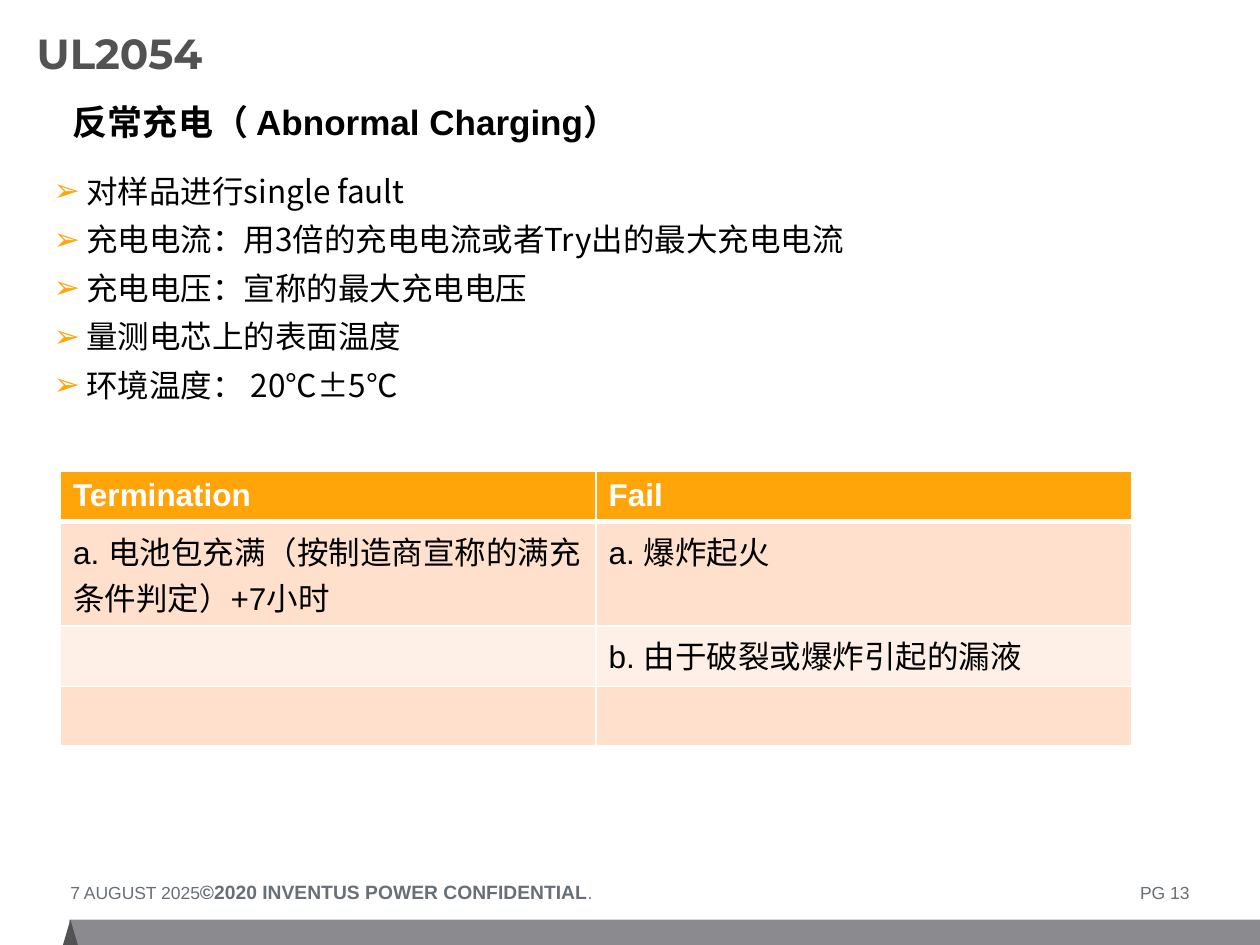
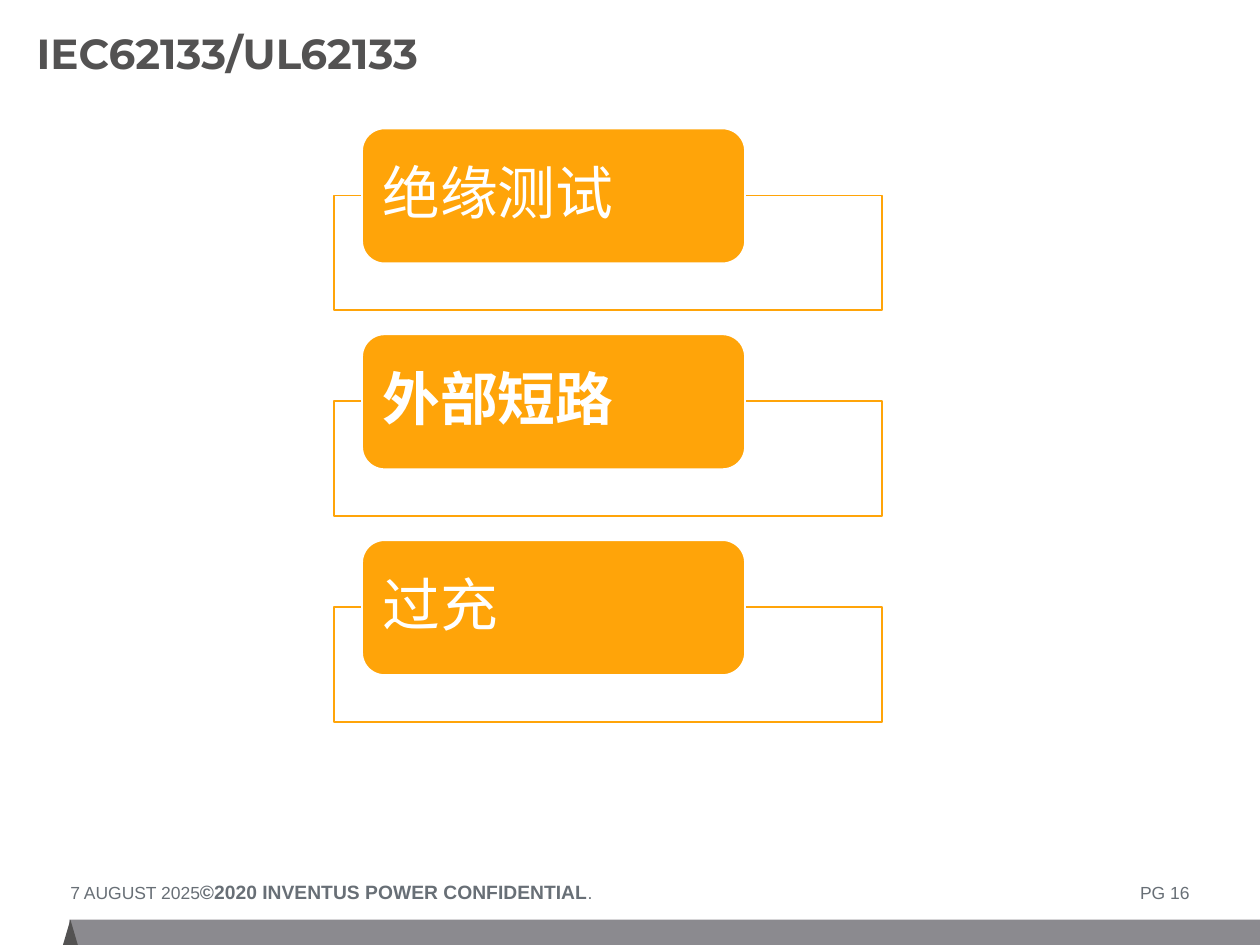
"""Build two battery safety slides: abnormal charging and the list of IEC tests."""

from dataclasses import dataclass

from lxml import etree
from pptx import Presentation
from pptx.dml.color import RGBColor
from pptx.enum.shapes import MSO_SHAPE
from pptx.enum.text import MSO_ANCHOR, MSO_AUTO_SIZE, PP_ALIGN
from pptx.oxml.ns import qn
from pptx.util import Cm, Pt

RECTANGLE = MSO_SHAPE.RECTANGLE
TRIANGLE = MSO_SHAPE.ISOSCELES_TRIANGLE
ROUNDED = MSO_SHAPE.ROUNDED_RECTANGLE
MIDDLE, TOP = MSO_ANCHOR.MIDDLE, MSO_ANCHOR.TOP
LEFT = PP_ALIGN.LEFT
NO_FIT, GROW = MSO_AUTO_SIZE.NONE, MSO_AUTO_SIZE.SHAPE_TO_FIT_TEXT
TITLE_ONLY = 5


@dataclass(frozen=True)
class Theme:
    orange: str = "FFA409"
    peach: str = "FFE0CC"
    pale_peach: str = "FFF0E7"
    white: str = "FFFFFF"
    black: str = "000000"
    charcoal: str = "535252"
    band_grey: str = "8B8A8F"
    footer_grey: str = "686F76"
    text_font: str = "Arial"
    title_font: str = "Montserrat"
    chinese_font: str = "Noto Sans CJK SC"
    label_size: float = 33
    title_size: float = 24
    heading_size: float = 20
    body_size: float = 18
    notice_size: float = 11
    footer_size: float = 10


THEME = Theme()


@dataclass(frozen=True)
class Area:
    left: float
    top: float
    width: float
    height: float

    def lengths(self) -> tuple:
        return Cm(self.left), Cm(self.top), Cm(self.width), Cm(self.height)


@dataclass(frozen=True)
class TextStyle:
    size: float
    color: str
    bold: bool = False
    name: str = THEME.text_font


@dataclass(frozen=True)
class TestLabel:
    text: str
    bold: bool = False


TITLE_STYLE = TextStyle(THEME.title_size, THEME.charcoal, True, THEME.title_font)
HEADING_STYLE = TextStyle(THEME.heading_size, THEME.black, True)
BULLET_STYLE = TextStyle(THEME.body_size, THEME.black, name=THEME.chinese_font)
HEADER_STYLE = TextStyle(THEME.body_size, THEME.white, True)
CELL_STYLE = TextStyle(THEME.body_size, THEME.black)
FOOTER_STYLE = TextStyle(THEME.footer_size, THEME.footer_grey)

BULLETS = (
    "对样品进行single fault",
    "充电电流：用3倍的充电电流或者Try出的最大充电电流",
    "充电电压：宣称的最大充电电压",
    "量测电芯上的表面温度",
    "环境温度： 20℃±5℃",
)
CRITERIA = (
    ("Termination", "Fail"),
    ("a. 电池包充满（按制造商宣称的满充条件判定）+7小时", "a. 爆炸起火"),
    ("", "b. 由于破裂或爆炸引起的漏液"),
    ("", ""),
)
ROW_HEIGHTS = (0.95, 2.1, 1.22, 1.19)
ROW_FILLS = (THEME.orange, THEME.peach, THEME.pale_peach, THEME.peach)
TESTS = (TestLabel("绝缘测试"), TestLabel("外部短路", True), TestLabel("过充"))
TEST_PITCH = 4.15


def rgb(color: str) -> RGBColor:
    return RGBColor.from_string(color)


def style_paragraph(para, style: TextStyle) -> None:
    font = para.font
    font.name, font.size, font.bold = style.name, Pt(style.size), style.bold
    font.color.rgb = rgb(style.color)
    defaults = para._p.pPr.find(qn("a:defRPr"))
    etree.SubElement(defaults, qn("a:ea"), typeface=THEME.chinese_font)


def set_margins(frame, side: float = 0) -> None:
    frame.margin_left = frame.margin_right = Cm(side)
    frame.margin_top = frame.margin_bottom = 0


def add_box(page, area: Area):
    frame = page.shapes.add_textbox(*area.lengths()).text_frame
    frame.word_wrap = True
    return frame


def add_figure(page, kind, area: Area, fill: str, line: str = ""):
    shape = page.shapes.add_shape(kind, *area.lengths())
    shape.shadow.inherit = False
    shape.fill.solid()
    shape.fill.fore_color.rgb = rgb(fill)
    if line:
        shape.line.color.rgb = rgb(line)
        shape.line.width = Pt(1)
    else:
        shape.line.fill.background()
    return shape


def add_footer(page, number: int) -> None:
    add_figure(page, RECTANGLE, Area(1.4, 18.54, 24, 0.51), THEME.band_grey)
    add_figure(page, TRIANGLE, Area(1.27, 18.54, 0.3, 0.51), THEME.charcoal)
    frame = add_box(page, Area(1.42, 17.75, 22.58, 0.48))
    set_margins(frame)
    frame.auto_size = GROW
    para = frame.paragraphs[0]
    tabs = etree.SubElement(para._p.get_or_add_pPr(), qn("a:tabLst"))
    for position, alignment in ((8.59, "dec"), (22.56, "r")):
        etree.SubElement(tabs, qn("a:tab"), pos=str(Cm(position)), algn=alignment)
    style_paragraph(para, FOOTER_STYLE)
    for text, size, bold in (
        ("7 AUGUST 2025\t", THEME.footer_size, False),
        ("©2020 INVENTUS POWER CONFIDENTIAL", THEME.notice_size, True),
        (f".\tPG {number}", THEME.footer_size, False),
    ):
        span = para.add_run()
        span.text = text
        span.font.size, span.font.bold = Pt(size), bold


def add_page(deck, title: str, number: int):
    page = deck.slides.add_slide(deck.slide_layouts[TITLE_ONLY])
    holder = page.shapes.title
    holder.left, holder.top, holder.width, holder.height = Area(
        0.74, 0.35, 18.75, 1.63
    ).lengths()
    frame = holder.text_frame
    frame.text = title
    frame.auto_size = NO_FIT
    frame.vertical_anchor = MIDDLE
    set_margins(frame)
    para = frame.paragraphs[0]
    para.alignment = LEFT
    para.line_spacing = 0.75
    style_paragraph(para, TITLE_STYLE)
    add_footer(page, number)
    return page


def add_heading(page, text: str) -> None:
    frame = add_box(page, Area(1.22, 1.9, 11.94, 1.12))
    frame.auto_size = GROW
    frame.text = text
    style_paragraph(frame.paragraphs[0], HEADING_STYLE)


def add_bullets(page) -> None:
    frame = add_box(page, Area(1.08, 3.46, 22.56, 5.6))
    set_margins(frame)
    frame.vertical_anchor = TOP
    frame.text = "\n".join(BULLETS)
    for para in frame.paragraphs:
        properties = para._p.get_or_add_pPr()
        properties.set("marL", str(Cm(0.66)))
        properties.set("indent", str(-Cm(0.66)))
        color = etree.SubElement(properties, qn("a:buClr"))
        etree.SubElement(color, qn("a:srgbClr"), val=THEME.orange)
        etree.SubElement(properties, qn("a:buFont"), typeface=THEME.text_font)
        etree.SubElement(properties, qn("a:buChar"), char="➢")
        para.line_spacing = Pt(21.7)
        para.space_after = Pt(6)
        style_paragraph(para, BULLET_STYLE)


def underline_cell(cell) -> None:
    border = etree.Element(qn("a:lnB"), w=str(Pt(3)))
    fill = etree.SubElement(border, qn("a:solidFill"))
    etree.SubElement(fill, qn("a:srgbClr"), val=THEME.white)
    cell._tc.get_or_add_tcPr().insert(0, border)


def add_criteria(page) -> None:
    area = Area(1.22, 9.5, 21.59, sum(ROW_HEIGHTS))
    table = page.shapes.add_table(
        len(CRITERIA), len(CRITERIA[0]), *area.lengths()
    ).table
    for index, texts in enumerate(CRITERIA):
        table.rows[index].height = Cm(ROW_HEIGHTS[index])
        for column, text in enumerate(texts):
            cell = table.cell(index, column)
            cell.fill.solid()
            cell.fill.fore_color.rgb = rgb(ROW_FILLS[index])
            cell.text = text
            style_paragraph(
                cell.text_frame.paragraphs[0], CELL_STYLE if index else HEADER_STYLE
            )
            if index == 0:
                underline_cell(cell)


def add_test(page, label: TestLabel, offset: float) -> None:
    frame_area = Area(6.73, 3.94 + offset, 11.05, 2.31)
    outline = add_figure(page, RECTANGLE, frame_area, THEME.white, THEME.orange)
    color = outline._element.spPr.find(qn("a:solidFill"))[0]
    etree.SubElement(color, qn("a:alpha"), val="90000")
    label_area = Area(7.3, 2.59 + offset, 7.72, 2.72)
    tile = add_figure(page, ROUNDED, label_area, THEME.orange, THEME.white)
    frame = tile.text_frame
    set_margins(frame, 0.28)
    frame.word_wrap = True
    frame.vertical_anchor = MIDDLE
    frame.text = label.text
    para = frame.paragraphs[0]
    para.alignment = LEFT
    para.line_spacing = 0.9
    para.space_after = Pt(11.5)
    style_paragraph(para, TextStyle(THEME.label_size, THEME.white, label.bold))


def main() -> None:
    deck = Presentation()
    deck.slide_width, deck.slide_height = Cm(25.4), Cm(19.05)

    charging = add_page(deck, "UL2054", 13)
    add_heading(charging, "反常充电（ Abnormal Charging）")
    add_bullets(charging)
    add_criteria(charging)

    tests = add_page(deck, "IEC62133/UL62133", 16)
    for index, label in enumerate(TESTS):
        add_test(tests, label, index * TEST_PITCH)

    deck.save("out.pptx")


if __name__ == "__main__":
    main()
